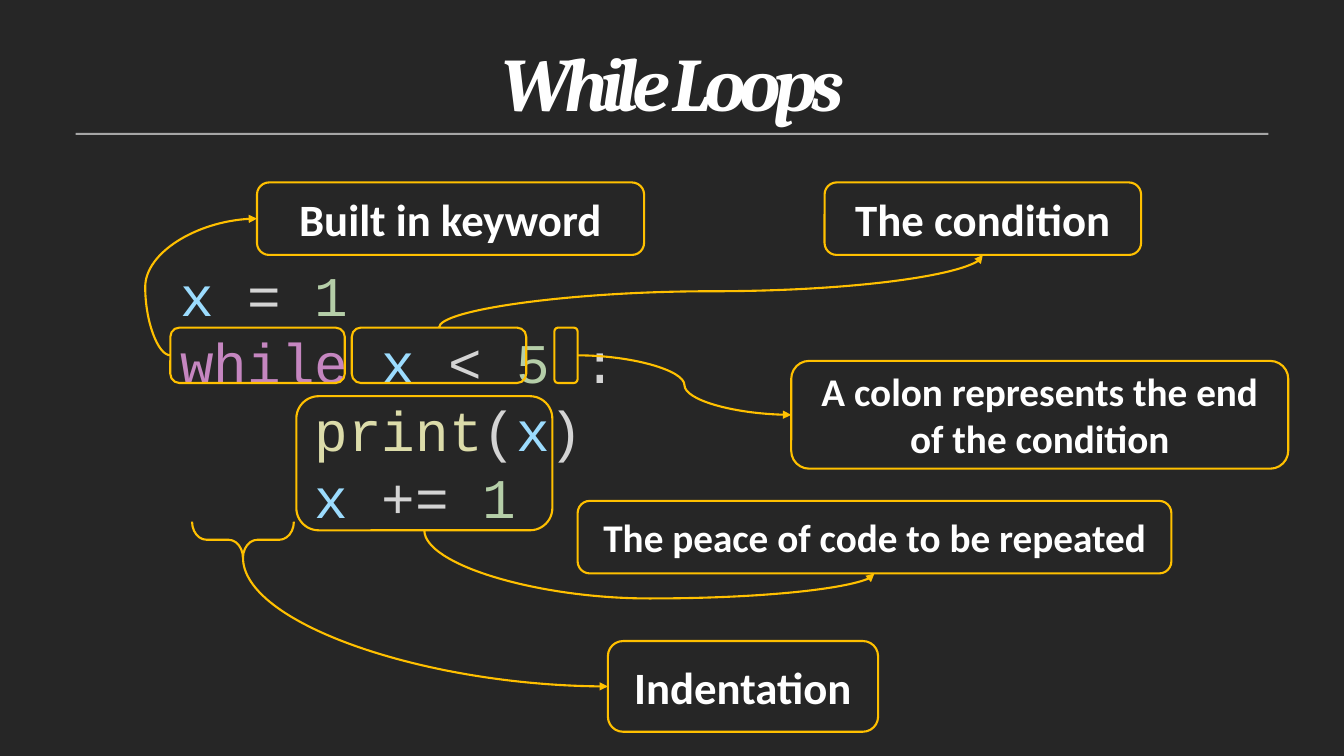
from lxml import etree
from pptx import Presentation
from pptx.dml.color import RGBColor
from pptx.enum.shapes import MSO_CONNECTOR, MSO_SHAPE
from pptx.enum.text import MSO_ANCHOR, PP_ALIGN
from pptx.oxml.ns import qn
from pptx.util import Pt

ROUND, BRACE, RECT = MSO_SHAPE.ROUNDED_RECTANGLE, MSO_SHAPE.LEFT_BRACE, MSO_SHAPE.RECTANGLE
CURVE = MSO_CONNECTOR.CURVE
CENTER, LEFT = PP_ALIGN.CENTER, PP_ALIGN.LEFT
MIDDLE, TOP = MSO_ANCHOR.MIDDLE, MSO_ANCHOR.TOP

COLORS = {
    "back": "262626", "rule": "A6A6A6", "gold": "FFC000", "white": "FFFFFF",
    "name": "9CDCFE", "sign": "D4D4D4", "digit": "B5CEA8",
    "key": "C586C0", "call": "DCDCAA",
}

# Boxes are (left, top, width, height) in points
TITLE = (81.4, 5, 798, 81.4)
RULE = (54, 95, 852, 1.4)
CODE = (121.7, 179.3, 480, 201)
TOKENS = {
    "while": (121.7, 234, 124.6, 39.6),
    "test": (251.3, 234, 124.6, 39.6),
    "colon": (396, 234, 16.6, 39.6),
    "block": (211.7, 283, 182.9, 95.8),
}
NOTES = {
    "while": ("Built in keyword", 32, (183.6, 130.3, 276.5, 51.8)),
    "test": ("The condition", 32, (589, 130.3, 226.1, 51.8)),
    "colon": ("A colon represents the end of the condition", 28, (565.2, 257.8, 355, 77)),
    "block": ("The peace of code to be repeated", 28, (412.6, 357.8, 424.1, 51.8)),
    "indent": ("Indentation", 32, (434.2, 457.9, 193, 64.8)),
}
GAP = (160.6, 349.2, 25.9, 72.7)

# Each code line: indent in characters, then (text, color) parts
LINES = [
    (0, [("x", "name"), (" = ", "sign"), ("1", "digit")]),
    (0, [("while ", "key"), ("x", "name"), (" < ", "sign"), ("5 ", "digit"), (":", "sign")]),
    (4, [("print", "call"), ("(", "sign"), ("x", "name"), (")", "sign")]),
    (4, [("x", "name"), (" += ", "sign"), ("1", "digit")]),
]
CHAR = 24


def rgb(name):
    return RGBColor.from_string(COLORS[name])


def points(box):
    return [Pt(v) for v in box]


def write(para, text, size=32, font="Calibri", color="white", bold=True, italic=False,
          track=None, align=CENTER):
    para.alignment = align
    run = para.add_run()
    run.text = text
    face = run.font
    face.size, face.name, face.bold, face.italic = Pt(size), font, bold, italic
    face.color.rgb = rgb(color)
    if track:
        run._r.get_or_add_rPr().set("spc", str(round(track * 100)))


def outline(slide, kind, box):
    shape = slide.shapes.add_shape(kind, *points(box))
    shape.shadow.inherit = False
    shape.fill.background()
    shape.line.color.rgb = rgb("gold")
    shape.line.width = Pt(1.5)
    return shape


def side(box, edge):
    x, y, w, h = box
    return {"left": (x, y + h / 2), "right": (x + w, y + h / 2),
            "top": (x + w / 2, y), "bottom": (x + w / 2, y + h)}[edge]


def arrow(slide, start, end, bend=0.5, upright=False):
    """Curved arrow; upright ones leave vertically, bend None is one corner."""
    turn = 0
    if upright:
        # A quarter turn about the centre swaps width and height
        mx, my = (start[0] + end[0]) / 2, (start[1] + end[1]) / 2
        wide, tall = abs(end[1] - start[1]), end[0] - start[0]
        down = 1 if end[1] > start[1] else -1
        turn = 270 if down > 0 else 90
        start = (mx + wide / 2, my - down * tall / 2)
        end = (mx - wide / 2, my + down * tall / 2)
    line = slide.shapes.add_connector(CURVE, *points(start + end))
    line.line.color.rgb = rgb("gold")
    line.line.width = Pt(1.5)
    props = line._element.spPr
    if turn:
        props.find(qn("a:xfrm")).set("rot", str(turn * 60000))
    geom = props.find(qn("a:prstGeom"))
    if bend is None:
        geom.set("prst", "curvedConnector2")
    else:
        guides = geom.find(qn("a:avLst"))
        etree.SubElement(guides, qn("a:gd"), name="adj1", fmla=f"val {round(bend * 100000)}")
    etree.SubElement(props.find(qn("a:ln")), qn("a:tailEnd"), type="triangle")
    etree.SubElement(props, qn("a:effectLst"))


def heading(slide, box):
    title = slide.shapes.title
    title.left, title.top, title.width, title.height = points(box)
    frame = title.text_frame
    frame.vertical_anchor = TOP
    frame.margin_top, frame.margin_bottom = Pt(5), Pt(0)
    para = frame.paragraphs[0]
    para.line_spacing = Pt(80.7)
    write(para, "While Loops", size=54, font="Cambria", italic=True, track=-4.8)
    rule = slide.shapes.add_shape(RECT, *points(RULE))
    rule.shadow.inherit = False
    rule.fill.solid()
    rule.fill.fore_color.rgb = rgb("rule")
    rule.line.fill.background()


def code(slide, box):
    frame = slide.shapes.add_textbox(*points(box)).text_frame
    frame.word_wrap = True
    frame.margin_top = Pt(7)
    for i, (indent, parts) in enumerate(LINES):
        para = frame.add_paragraph() if i else frame.paragraphs[0]
        para.line_spacing = Pt(48)
        if indent:
            para._p.get_or_add_pPr().set("marL", str(Pt(indent * CHAR)))
        for text, color in parts:
            write(para, text, size=40, font="Courier New", color=color, bold=False, align=LEFT)


def note(slide, text, size, box):
    frame = outline(slide, ROUND, box).text_frame
    frame.word_wrap = True
    frame.vertical_anchor = MIDDLE
    write(frame.paragraphs[0], text, size=size)


def links(slide):
    def join(key, leave, reach, **bends):
        arrow(slide, side(TOKENS[key], leave), side(NOTES[key][2], reach), **bends)

    join("while", "left", "left", bend=-0.29)
    join("test", "top", "bottom", upright=True)
    join("colon", "right", "left")
    join("block", "bottom", "bottom", bend=1.58, upright=True)
    # Tip of the turned brace
    x, y, w, h = GAP
    tip = (x + w / 2, y + h / 2 + w / 2)
    arrow(slide, tip, side(NOTES["indent"][2], "left"), bend=None, upright=True)


def main():
    deck = Presentation()
    deck.slide_width, deck.slide_height = Pt(960), Pt(540)
    slide = deck.slides.add_slide(deck.slide_layouts[5])
    slide.background.fill.solid()
    slide.background.fill.fore_color.rgb = rgb("back")
    heading(slide, TITLE)
    code(slide, CODE)
    # Frames around the code parts, and their notes
    for box in TOKENS.values():
        outline(slide, ROUND, box)
    for entry in NOTES.values():
        note(slide, *entry)
    # Brace under the indent
    brace = outline(slide, BRACE, GAP)
    brace.rotation = 270
    brace.adjustments[0], brace.adjustments[1] = 0.4, 0.5
    links(slide)
    deck.save("out.pptx")


if __name__ == "__main__":
    main()
